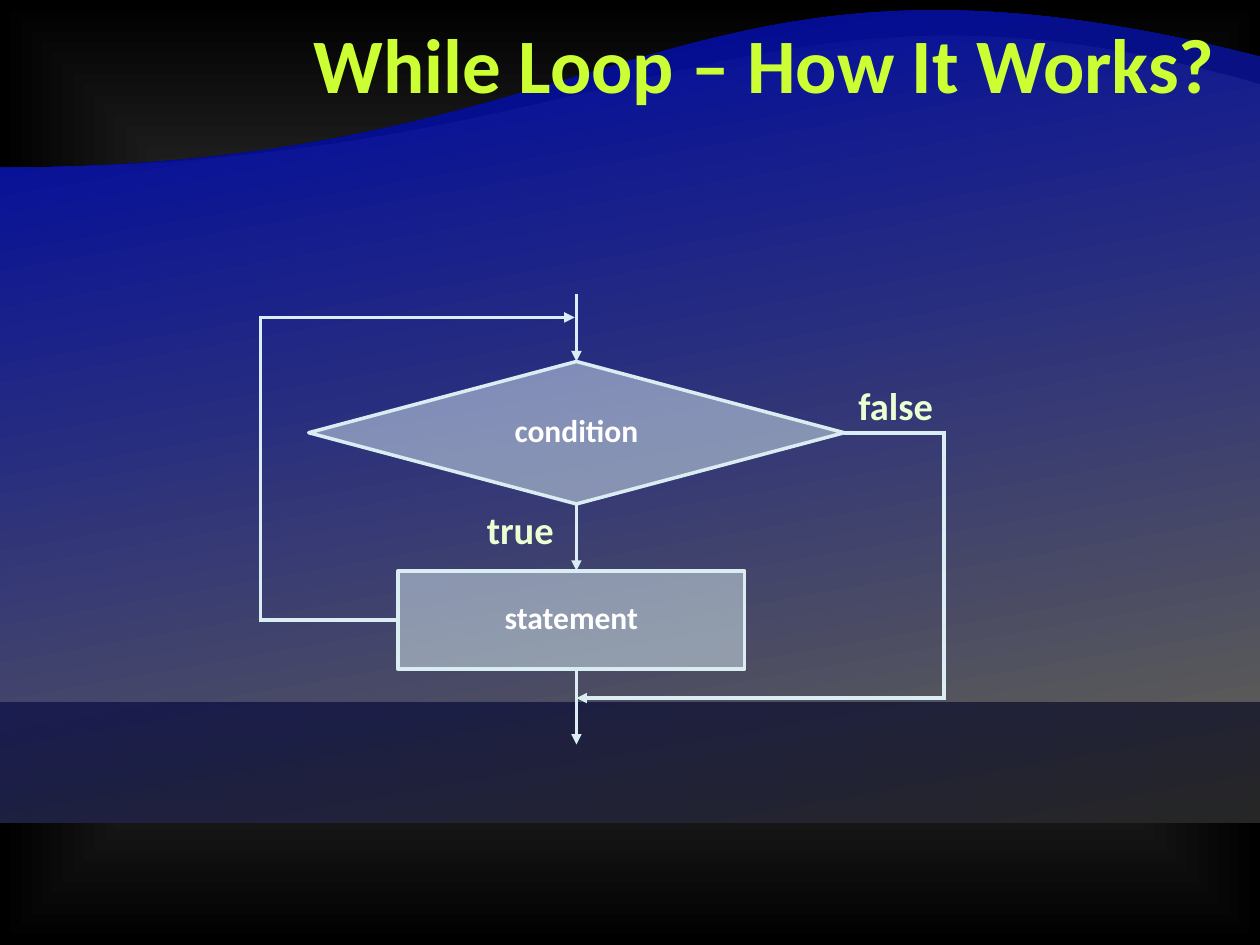
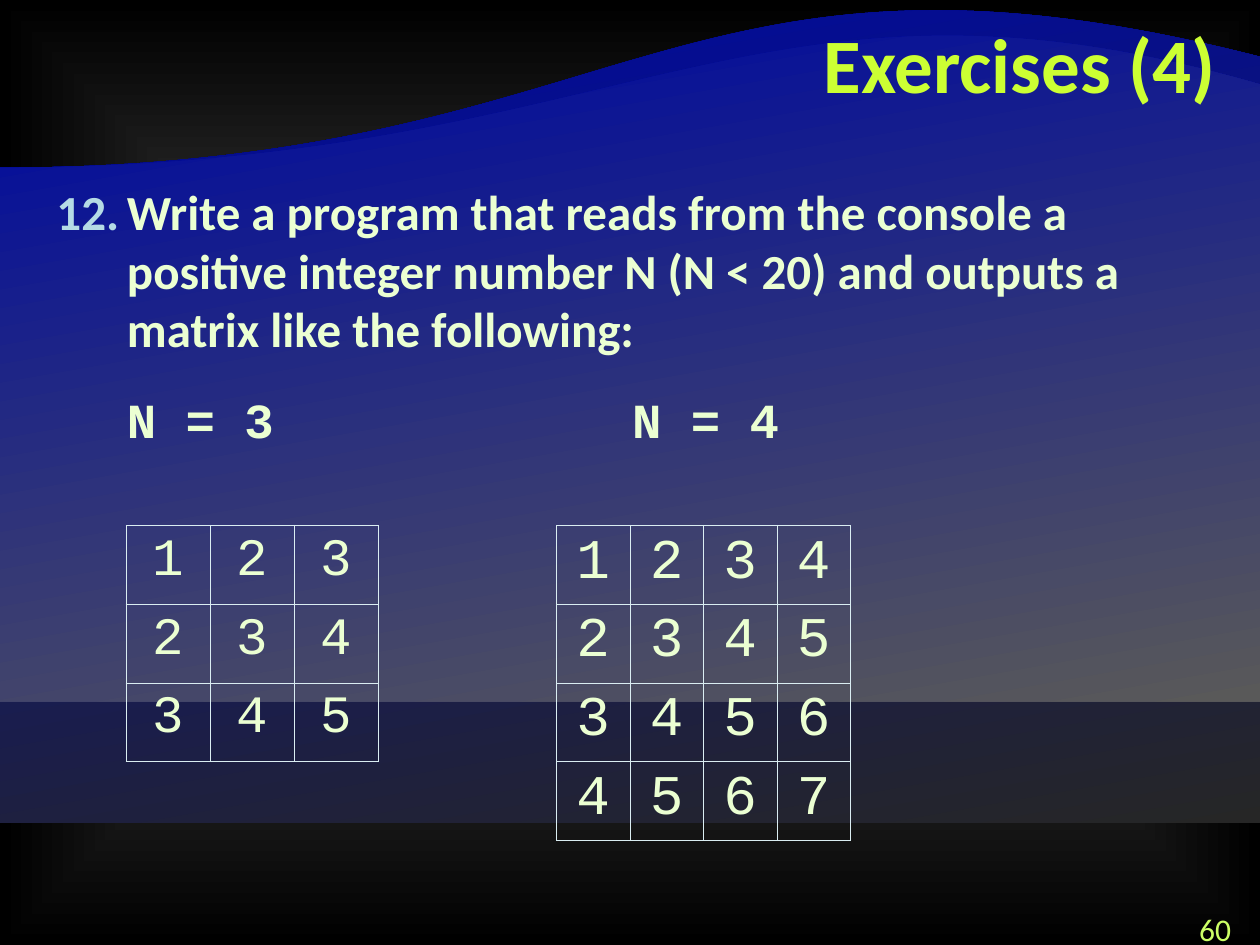
from dataclasses import dataclass
from typing import Any

from lxml import etree
from pptx import Presentation
from pptx.dml.color import RGBColor
from pptx.enum.shapes import MSO_CONNECTOR, MSO_SHAPE
from pptx.enum.text import MSO_ANCHOR, MSO_AUTO_SIZE, PP_ALIGN
from pptx.oxml.ns import qn
from pptx.util import Pt

DIAMOND, RECTANGLE = MSO_SHAPE.FLOWCHART_DECISION, MSO_SHAPE.RECTANGLE
STRAIGHT = MSO_CONNECTOR.STRAIGHT
LEFT, CENTER, RIGHT = PP_ALIGN.LEFT, PP_ALIGN.CENTER, PP_ALIGN.RIGHT
TOP, MIDDLE = MSO_ANCHOR.TOP, MSO_ANCHOR.MIDDLE
TOP_SITE, LEFT_SITE, BOTTOM_SITE, RIGHT_SITE = range(4)

COLORS = {
    "title": "CCFF33",
    "text": "EBFFD2",
    "node text": "FFFFFF",
    "page number": "CCFF66",
    "number": "B5DBE5",
    "line": "DAEDF2",
    "wave": "000A9E",
    "wave dark": "262626",
    "glow": "595959",
    "edge": "000000",
}
SANS, MONO = "Calibri", "Courier New"
SLIDE_WIDTH, SLIDE_HEIGHT = 720, 540
TIGHT = {"alignment": CENTER, "line_spacing": 0.85}

Point = tuple[float, float]
Box = tuple[float, float, float, float]


@dataclass
class Wave:
    bottom: float
    right_top: float
    control: Point
    end_color: str


@dataclass
class TextStyle:
    size: float
    color: str
    bold: bool = True
    font: str = SANS


@dataclass
class Node:
    text: str
    kind: Any
    box: Box


@dataclass
class Label:
    text: str
    box: Box
    style: TextStyle
    layout: dict[str, Any]


@dataclass
class Line:
    start: Point
    end: Point
    arrow: bool = False
    start_site: tuple[str, int] | None = None
    end_site: tuple[str, int] | None = None


@dataclass
class Matrix:
    size: int
    left: float
    column_width: float
    font_size: float


WAVE_LEFT_TOP = 95.8
WAVES = [
    Wave(470.2, 32.4, (384.5, -53.3), "wave dark"),
    Wave(401, 48.2, (430.6, -35.3), "glow"),
]
TITLE_BOX = (144, 5.8, 558, 72)
TITLE_STYLE = TextStyle(44, "title")
BODY_STYLE = TextStyle(28, "text")
NODE_STYLE = TextStyle(18, "node text")
BRANCH_STYLE = TextStyle(22, "text")

NODES = [
    Node("condition", DIAMOND, (176.4, 206.6, 306, 81.4)),
    Node("statement", RECTANGLE, (227.5, 326.2, 198, 56.2)),
]
BRANCHES = [
    Label("true", (260.6, 289.4, 73.4, 29.5), BRANCH_STYLE, TIGHT),
    Label("false", (478, 218.9, 67.7, 29.5), BRANCH_STYLE, TIGHT),
]
FLOW_X, LOOP_X, EXIT_X = 329.4, 149, 539.5
CONDITION_Y, STATEMENT_Y = 247.3, 354.3
LOOP_Y, EXIT_Y = 181.4, 398.9
OVERLAP = 1  # closes the corners where two lines meet
LINES = [
    Line((FLOW_X, 167.8), (FLOW_X, 206.6), True, end_site=("condition", TOP_SITE)),
    Line((FLOW_X, 288), (FLOW_X, 326.2), True, start_site=("condition", BOTTOM_SITE)),
    Line((FLOW_X, 382.4), (FLOW_X, 425.5), True),
    Line((482.4, CONDITION_Y), (EXIT_X, CONDITION_Y), start_site=("condition", RIGHT_SITE)),
    Line((EXIT_X, CONDITION_Y - OVERLAP), (EXIT_X, EXIT_Y + OVERLAP)),
    Line((EXIT_X, EXIT_Y), (FLOW_X, EXIT_Y), True),
    Line((227.5, STATEMENT_Y), (LOOP_X, STATEMENT_Y), start_site=("statement", LEFT_SITE)),
    Line((LOOP_X, STATEMENT_Y + OVERLAP), (LOOP_X, LOOP_Y - OVERLAP)),
    Line((LOOP_X, LOOP_Y), (FLOW_X - 1, LOOP_Y), True),
]

BODY_BOX = (25.2, 100, 657.4, 187.2)
NUMBER_INDENT = 40.3
SECOND_CASE_TAB = 329
PAGE_NUMBER = Label("60", (678.2, 516.2, 36, 18),
                    TextStyle(18, "page number", False), {"alignment": LEFT})
MATRICES = [Matrix(3, 72, 48, 30), Matrix(4, 318, 42, 32)]
MATRIX_TOP, ROW_HEIGHT = 300.2, 45
OUTER_BORDER, INNER_BORDER = 0.5, 0.25


def rgb(name: str) -> RGBColor:
    return RGBColor.from_string(COLORS[name])


def points(*values: float) -> list[Pt]:
    return [Pt(value) for value in values]


def apply(target: Any, values: dict[str, Any]) -> None:
    for name, value in values.items():
        setattr(target, name, value)


def add_xml(parent: Any, tag: str, **attributes: Any) -> Any:
    return etree.SubElement(parent, qn(tag), {key: str(value) for key, value in attributes.items()})


def set_gradient(fill: Any, first: str, last: str) -> None:
    fill.gradient()
    for stop, color in zip(fill.gradient_stops, (first, last)):
        stop.color.rgb = rgb(color)


def write(paragraph: Any, text: str, style: TextStyle, layout: dict[str, Any]) -> None:
    apply(paragraph, layout)
    run = paragraph.add_run()
    run.text = text
    apply(run.font, {"size": Pt(style.size), "bold": style.bold, "name": style.font})
    run.font.color.rgb = rgb(style.color)


def set_background(layout: Any) -> None:
    set_gradient(layout.background.fill, "glow", "edge")
    gradient = next(layout.element.iter(qn("a:gradFill")))
    gradient.remove(gradient.find(qn("a:lin")))
    center = dict.fromkeys("ltrb", 50000)
    add_xml(add_xml(gradient, "a:path", path="rect"), "a:fillToRect", **center)


def add_wave(slide: Any, wave: Wave) -> Any:
    """Draw a band whose upper edge is a Bézier curve."""
    corners = [(SLIDE_WIDTH, wave.bottom), (0, wave.bottom),
               (0, WAVE_LEFT_TOP), (SLIDE_WIDTH, wave.right_top)]
    corners = [tuple(points(*corner)) for corner in corners]
    builder = slide.shapes.build_freeform(*corners[0])
    builder.add_line_segments(corners[1:], close=True)
    shape = builder.convert_to_shape()
    shape.shadow.inherit = False
    shape.line.fill.background()
    set_gradient(shape.fill, "wave", wave.end_color)
    shape.fill.gradient_angle = 280
    edge = list(shape.element.iter(qn("a:lnTo")))[2]
    edge.tag = qn("a:cubicBezTo")
    controls = [(SLIDE_WIDTH / 2, WAVE_LEFT_TOP), wave.control]
    for index, (x, y) in enumerate(controls):
        point = etree.Element(qn("a:pt"), x=str(Pt(x)), y=str(Pt(y) - shape.top))
        edge.insert(index, point)
    return shape


def add_titled_slide(presentation: Any, layout: Any, title: str) -> Any:
    slide = presentation.slides.add_slide(layout)
    shape = slide.shapes.title
    apply(shape, dict(zip(("left", "top", "width", "height"), points(*TITLE_BOX))))
    apply(shape.text_frame, {"vertical_anchor": TOP, "word_wrap": True,
                             "auto_size": MSO_AUTO_SIZE.NONE})
    write(shape.text_frame.paragraphs[0], title, TITLE_STYLE, {"alignment": RIGHT})
    return slide


def add_text_box(slide: Any, box: Box) -> Any:
    frame = slide.shapes.add_textbox(*points(*box)).text_frame
    frame.word_wrap = True
    return frame


def add_label(slide: Any, label: Label) -> None:
    frame = add_text_box(slide, label.box)
    write(frame.paragraphs[0], label.text, label.style, label.layout)


def add_node(slide: Any, node: Node) -> Any:
    shape = slide.shapes.add_shape(node.kind, *points(*node.box))
    shape.shadow.inherit = False
    shape.fill.solid()
    shape.fill.fore_color.rgb = rgb("line")
    color = shape.element.spPr.find(qn("a:solidFill"))[0]
    add_xml(color, "a:alpha", val=50000)
    shape.line.color.rgb = rgb("line")
    shape.line.width = Pt(2)
    shape.text_frame.vertical_anchor = MIDDLE
    write(shape.text_frame.paragraphs[0], node.text, NODE_STYLE, TIGHT)
    return shape


def add_line(slide: Any, line: Line, nodes: dict[str, Any]) -> None:
    connector = slide.shapes.add_connector(STRAIGHT, *points(*line.start, *line.end))
    for site, connect in ((line.start_site, connector.begin_connect),
                          (line.end_site, connector.end_connect)):
        if site:
            name, index = site
            connect(nodes[name], index)
    connector.line.color.rgb = rgb("line")
    connector.line.width = Pt(2)
    properties = connector.element.spPr
    if line.arrow:
        add_xml(properties.find(qn("a:ln")), "a:tailEnd", type="triangle")
    add_xml(properties, "a:effectLst")


def add_exercise(slide: Any) -> None:
    frame = add_text_box(slide, BODY_BOX)
    task, cases = frame.paragraphs[0], frame.add_paragraph()
    properties = task._p.get_or_add_pPr()
    properties.set("marL", str(Pt(NUMBER_INDENT)))
    properties.set("indent", str(-Pt(NUMBER_INDENT)))
    add_xml(add_xml(properties, "a:buClr"), "a:srgbClr", val=COLORS["number"])
    add_xml(properties, "a:buAutoNum", type="arabicPeriod", startAt=12)
    write(task, "Write a program that reads from the console a positive integer number N "
          "(N < 20) and outputs a matrix like the following:", BODY_STYLE, {"alignment": LEFT})
    tabs = add_xml(cases._p.get_or_add_pPr(), "a:tabLst")
    for position in (NUMBER_INDENT, SECOND_CASE_TAB):
        add_xml(tabs, "a:tab", pos=Pt(position), algn="l")
    write(cases, "\tN = 3\tN = 4", TextStyle(28, "text", font=MONO), {"space_before": Pt(18)})


def set_borders(cell: Any, row: int, column: int, size: int) -> None:
    last = size - 1
    outer_sides = {"L": column == 0, "R": column == last, "T": row == 0, "B": row == last}
    properties = cell._tc.get_or_add_tcPr()
    for index, (side, outer) in enumerate(outer_sides.items()):
        border = etree.Element(qn(f"a:ln{side}"), w=str(Pt(OUTER_BORDER if outer else INNER_BORDER)))
        add_xml(add_xml(border, "a:solidFill"), "a:srgbClr", val=COLORS["line"])
        properties.insert(index, border)


def add_matrix(slide: Any, matrix: Matrix) -> None:
    size = matrix.size
    box = (matrix.left, MATRIX_TOP, size * matrix.column_width, size * ROW_HEIGHT)
    table = slide.shapes.add_table(size, size, *points(*box)).table
    apply(table, {"first_row": False, "horz_banding": False})
    style = TextStyle(matrix.font_size, "text", False, MONO)
    for row in range(size):
        for column in range(size):
            cell = table.cell(row, column)
            cell.fill.background()
            set_borders(cell, row, column, size)
            write(cell.text_frame.paragraphs[0], str(row + column + 1), style,
                  {"alignment": CENTER, "line_spacing": 0.98})


def main() -> None:
    presentation = Presentation()
    apply(presentation, {"slide_width": Pt(SLIDE_WIDTH), "slide_height": Pt(SLIDE_HEIGHT)})
    layout = presentation.slide_layouts.get_by_name("Title Only")
    set_background(layout)

    flowchart = add_titled_slide(presentation, layout, "While Loop – How It Works?")
    for index, wave in enumerate(WAVES, start=2):
        layout.shapes.element.insert(index, add_wave(flowchart, wave).element)
    nodes = {node.text: add_node(flowchart, node) for node in NODES}
    for line in LINES:
        add_line(flowchart, line, nodes)
    for branch in BRANCHES:
        add_label(flowchart, branch)

    exercises = add_titled_slide(presentation, layout, "Exercises (4)")
    add_label(exercises, PAGE_NUMBER)
    add_exercise(exercises)
    for matrix in MATRICES:
        add_matrix(exercises, matrix)
    presentation.save("out.pptx")


if __name__ == "__main__":
    main()
